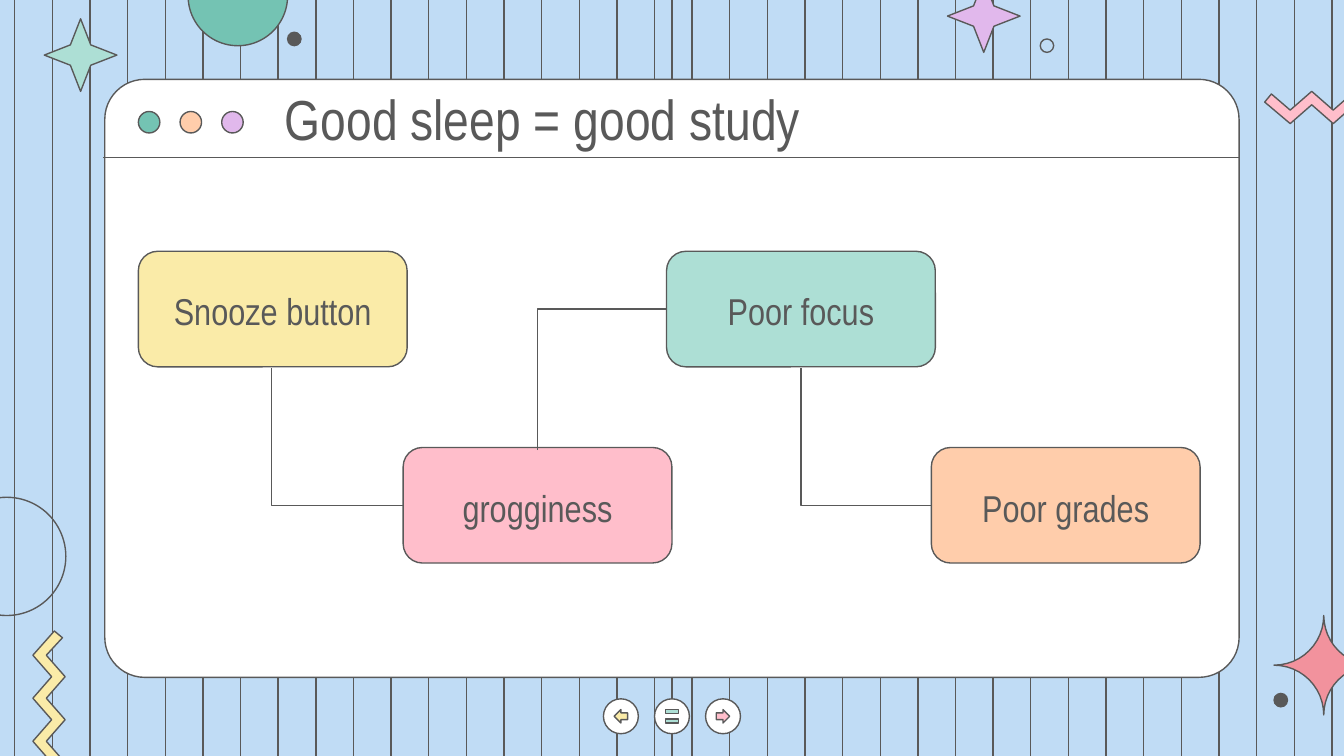
from dataclasses import dataclass
from math import cos, radians, sin, sqrt

from lxml.etree import SubElement
from pptx import Presentation
from pptx.dml.color import RGBColor
from pptx.enum.shapes import MSO_CONNECTOR as Wire, MSO_SHAPE as Form
from pptx.enum.text import MSO_ANCHOR as Anchor, PP_ALIGN as Align
from pptx.oxml.ns import qn
from pptx.util import Inches, Pt


@dataclass(frozen=True)
class Theme:
    sky: str = "C0DCF5"
    ink: str = "595959"
    white: str = "FFFFFF"
    teal: str = "74C3B3"
    mint: str = "ADDFD5"
    peach: str = "FFCDAB"
    lilac: str = "E1B8EC"
    yellow: str = "FAEBA8"
    pink: str = "FFBECB"
    coral: str = "F2929D"
    font: str = "Arial Narrow"
    title_size: float = 30.2
    label_size: float = 20
    stroke: float = 0.75


theme = Theme()
ink = RGBColor.from_string(theme.ink)

deck = Presentation()
deck.slide_width = Inches(10)
deck.slide_height = Inches(10 * 9 / 16)
page = deck.slides.add_slide(deck.slide_layouts[6])
page.background.fill.solid()
page.background.fill.fore_color.rgb = RGBColor.from_string(theme.sky)


def outline(item, fill=None):
    item.line.color.rgb = ink
    item.line.width = Pt(theme.stroke)
    SubElement(item._element.spPr, qn("a:effectLst"))
    if fill:
        item.fill.solid()
        item.fill.fore_color.rgb = RGBColor.from_string(fill)
    return item


def add_form(form, left, top, width, height, fill=None, adjust=None):
    shape = page.shapes.add_shape(form, Inches(left), Inches(top), Inches(width), Inches(height))
    shape.fill.background()
    if adjust is not None:
        shape.adjustments[0] = adjust
    return outline(shape, fill)


stripes = [0.11 + 0.28 * index for index in range(36)] + [5]
for x in stripes:
    outline(page.shapes.add_connector(Wire.STRAIGHT, Inches(x), 0, Inches(x), deck.slide_height))

add_form(Form.ROUNDED_RECTANGLE, 0.78, 0.59, 8.44, 4.45, theme.white, 0.067)
outline(page.shapes.add_connector(Wire.STRAIGHT, Inches(0.77), Inches(1.17), Inches(9.22), Inches(1.17)))
for index, color in enumerate((theme.teal, theme.peach, theme.lilac)):
    add_form(Form.OVAL, 1.03 + 0.31 * index, 0.83, 0.16, 0.16, color)

lower_edge = [(0.19 + 0.16 * k, 0.1 if k % 2 else 0.24) for k in range(8)]
upper_edge = [(0.19 + 0.16 * k, 0 if k % 2 else 0.14) for k in reversed(range(8))]
zigzag = [(0.05, 0.02), (0, 0.08)] + lower_edge + [(1.44, 0.22), (1.49, 0.16)] + upper_edge

radius = 0.37
sparkle = []
for start in (0, -90, -180, -270):
    corner_x = radius - sqrt(2) * radius * cos(radians(start + 45))
    corner_y = radius - sqrt(2) * radius * sin(radians(start + 45))
    for step in range(12):
        angle = radians(start + 7.5 * step)
        sparkle.append((corner_x + radius * cos(angle), corner_y + radius * sin(angle)))

for points, left, top, turn, color in (
    (zigzag, -0.38, 5.32, 270, theme.yellow),
    (zigzag, 9.41, 0.68, 0, theme.pink),
    (sparkle, 9.48, 4.58, 0, theme.coral),
):
    corners = [(Inches(left + x), Inches(top + y)) for x, y in points]
    builder = page.shapes.build_freeform(*corners[0])
    builder.add_line_segments(corners[1:], close=True)
    outline(builder.convert_to_shape(), color).rotation = turn

for left, top, size, color in (
    (9.48, 5.16, 0.1, theme.ink),
    (-0.39, 3.7, 0.88, None),
    (1.4, -0.4, 0.74, theme.teal),
    (2.14, 0.24, 0.1, theme.ink),
    (7.74, 0.29, 0.1, None),
):
    add_form(Form.OVAL, left, top, size, size, color)
for left, top, color in ((7.05, -0.15, theme.lilac), (0.33, 0.14, theme.mint)):
    add_form(Form.STAR_4_POINT, left, top, 0.54, 0.54, color, 0.198)

title = page.shapes.add_textbox(Inches(2.02), Inches(0.59), Inches(6.91), Inches(0.58))
cards = [
    add_form(Form.ROUNDED_RECTANGLE, left, top, 2, 0.86, color)
    for left, top, color in (
        (1.03, 1.87, theme.yellow),
        (3, 3.33, theme.pink),
        (4.96, 1.87, theme.mint),
        (6.93, 3.33, theme.peach),
    )
]
labels = ("Snooze button", "grogginess", "Poor focus", "Poor grades")
texts = [(title, "Good sleep = good study", theme.title_size, Align.LEFT)]
texts += [(card, label, theme.label_size, Align.CENTER) for card, label in zip(cards, labels)]
for box, text, size, align in texts:
    frame = box.text_frame
    frame.word_wrap = True
    frame.vertical_anchor = Anchor.MIDDLE
    frame.margin_left = frame.margin_right = frame.margin_bottom = Inches(0.1)
    frame.margin_top = Inches(0.1 if box is title else 0.13)
    para = frame.paragraphs[0]
    para.text = text
    para.alignment = align
    para.font.name, para.font.size = theme.font, Pt(size)
    para.font.color.rgb = ink

for x1, y1, x2, y2 in ((2.02, 2.74, 3, 3.76), (4, 3.35, 4.96, 2.3), (5.96, 2.74, 6.93, 3.76)):
    middle_x, middle_y = (x1 + x2) / 2, (y1 + y2) / 2
    half_run, half_drop = (x2 - x1) / 2, (y2 - y1) / 2
    elbow = page.shapes.add_connector(
        Wire.ELBOW,
        Inches(middle_x + half_drop), Inches(middle_y - half_run),
        Inches(middle_x - half_drop), Inches(middle_y + half_run),
    )
    properties = elbow._element.spPr
    properties.find(qn("a:prstGeom")).set("prst", "bentConnector2")
    properties.find(qn("a:xfrm")).set("rot", str(270 * 60000))
    outline(elbow)

for left in (4.49, 4.87, 5.25):
    add_form(Form.OVAL, left, 5.2, 0.26, 0.26, theme.white)
add_form(Form.LEFT_ARROW, 4.57, 5.28, 0.1, 0.1, theme.yellow)
add_form(Form.RIGHT_ARROW, 5.33, 5.28, 0.1, 0.1, theme.pink)
for top in (5.28, 5.35):
    add_form(Form.RECTANGLE, 4.95, top, 0.1, 0.03, theme.mint)

deck.save("out.pptx")
